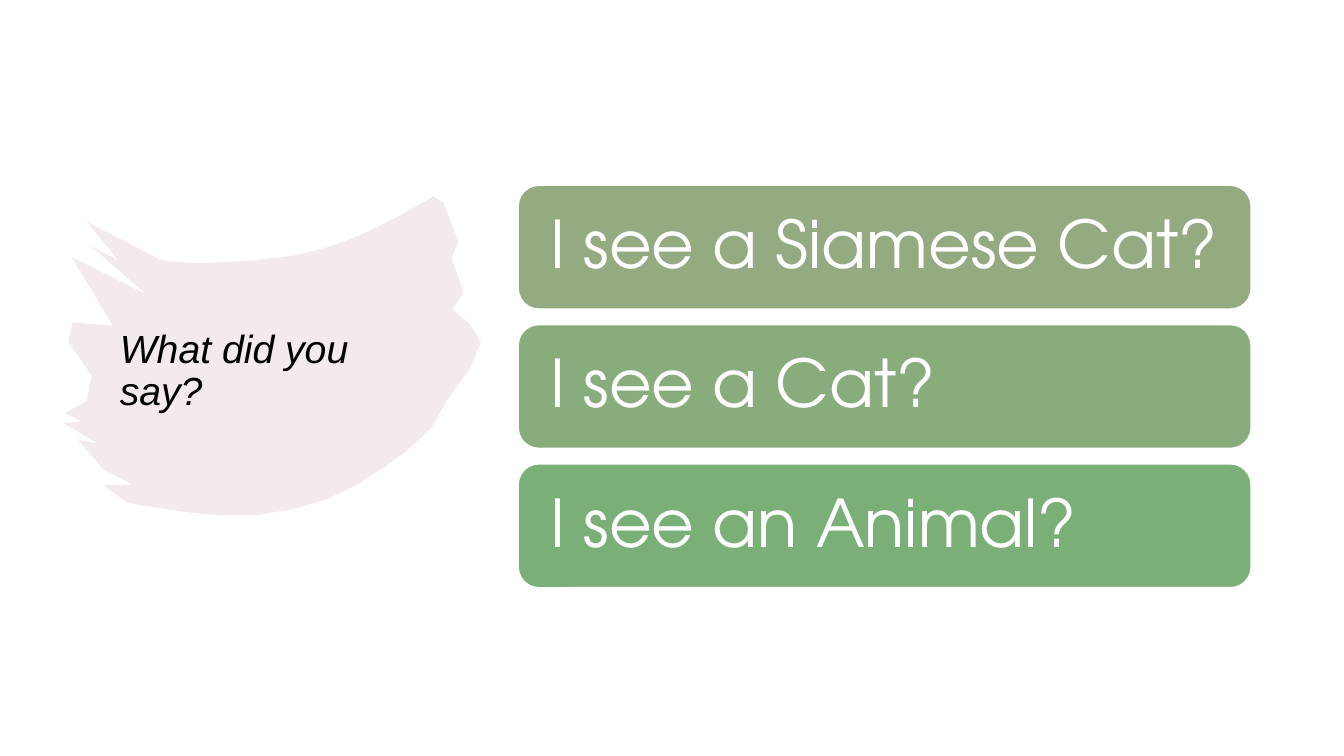
from pptx import Presentation
from pptx.dml.color import RGBColor
from pptx.enum.shapes import MSO_SHAPE
from pptx.enum.text import MSO_ANCHOR, PP_ALIGN
from pptx.oxml.ns import qn
from pptx.util import Cm, Pt
from lxml.etree import SubElement

COLORS = {"brush": "C6969D", "title": "000000", "white": "FFFFFF"}

# Answer bars from top to bottom: text and fill
ANSWERS = [
    ("I see a Siamese Cat?", "94AA81"),
    ("I see a Cat?", "89AC7D"),
    ("I see an Animal?", "7BAF78"),
]
BAR_LEFT, BAR_TOP = 13.06, 4.67
BAR_WIDTH, BAR_HEIGHT = 18.47, 3.12
BAR_STEP = 3.51

# Main corners of the brush stroke, clockwise, in hundredths of an inch
BRUSH_UNIT = Cm(2.54) / 100
RIGHT_EDGE = [(430, 195), (440, 201), (455, 240), (448, 256), (460, 290),
              (449, 307), (467, 322), (477, 340), (467, 365), (444, 396)]
LEFT_EDGE = [(102, 481), (132, 481), (103, 466), (77, 436), (97, 440),
             (63, 420), (81, 418), (64, 410), (86, 398), (91, 373),
             (68, 339), (72, 320), (112, 323), (71, 255), (145, 292),
             (89, 243), (118, 259), (86, 220)]
# Long edges: start, two control points and end of each curve
LOWER_CURVE = [(428, 425), (427, 425), (357, 504), (255, 511)]
BOTTOM_CURVE = [(255, 511), (239, 513), (172, 509), (127, 499)]
TOP_LEFT_CURVE = [(156, 256), (166, 261), (201, 263), (264, 257)]
TOP_RIGHT_CURVE = [(264, 257), (332, 251), (381, 222), (400, 212)]
CURVE_STEPS = 8


def rgb(value):
    return RGBColor.from_string(value)


def curve_points(curve):
    """Return evenly stepped points on a cubic curve."""
    points = []
    for step in range(CURVE_STEPS + 1):
        t = step / CURVE_STEPS
        weights = ((1 - t) ** 3, 3 * t * (1 - t) ** 2,
                   3 * t ** 2 * (1 - t), t ** 3)
        points.append(tuple(
            sum(weight * value for weight, value in zip(weights, values))
            for values in zip(*curve)))
    return points


def add_text(shape, text, font_name, size, color, inset, italic=False):
    frame = shape.text_frame
    frame.word_wrap = True
    frame.vertical_anchor = MSO_ANCHOR.MIDDLE
    frame.margin_left = frame.margin_right = Cm(inset)
    paragraph = frame.paragraphs[0]
    paragraph.alignment = PP_ALIGN.LEFT
    paragraph.line_spacing = 0.9
    run = paragraph.add_run()
    run.text = text
    run.font.name = font_name
    run.font.size = Pt(size)
    run.font.italic = italic
    run.font.color.rgb = rgb(color)


def add_brush_stroke(slide):
    outline = (RIGHT_EDGE + curve_points(LOWER_CURVE)
               + curve_points(BOTTOM_CURVE) + LEFT_EDGE
               + curve_points(TOP_LEFT_CURVE) + curve_points(TOP_RIGHT_CURVE))
    builder = slide.shapes.build_freeform(*outline[0], scale=BRUSH_UNIT)
    builder.add_line_segments(outline[1:], close=True)
    shape = builder.convert_to_shape()
    shape.shadow.inherit = False
    shape.line.fill.background()
    shape.fill.solid()
    shape.fill.fore_color.rgb = rgb(COLORS["brush"])
    # Let only a fifth of the colour show
    color = shape.element.spPr.find(qn("a:solidFill"))[0]
    SubElement(color, qn("a:alpha"), val="20000")


def add_title(slide, text):
    shape = slide.shapes.add_textbox(Cm(2.77), Cm(7.29), Cm(8.36), Cm(4.17))
    add_text(shape, text, "Arial", 28, COLORS["title"], 0.25, italic=True)


def add_answer_bar(slide, top, text, fill):
    shape = slide.shapes.add_shape(
        MSO_SHAPE.ROUNDED_RECTANGLE,
        Cm(BAR_LEFT), Cm(top), Cm(BAR_WIDTH), Cm(BAR_HEIGHT))
    shape.shadow.inherit = False
    shape.fill.solid()
    shape.fill.fore_color.rgb = rgb(fill)
    shape.line.color.rgb = rgb(COLORS["white"])
    shape.line.width = Pt(1)
    add_text(shape, text, "TeX Gyre Adventor", 47, COLORS["white"], 0.66)


def main():
    presentation = Presentation()
    presentation.slide_width = Cm(33.87)
    presentation.slide_height = Cm(19.05)
    slide = presentation.slides.add_slide(presentation.slide_layouts[6])

    # Question on a brush stroke
    add_brush_stroke(slide)
    add_title(slide, "What did you say?")

    # Stack of answers
    for index, (text, fill) in enumerate(ANSWERS):
        add_answer_bar(slide, BAR_TOP + index * BAR_STEP, text, fill)

    presentation.save("out.pptx")


if __name__ == "__main__":
    main()
